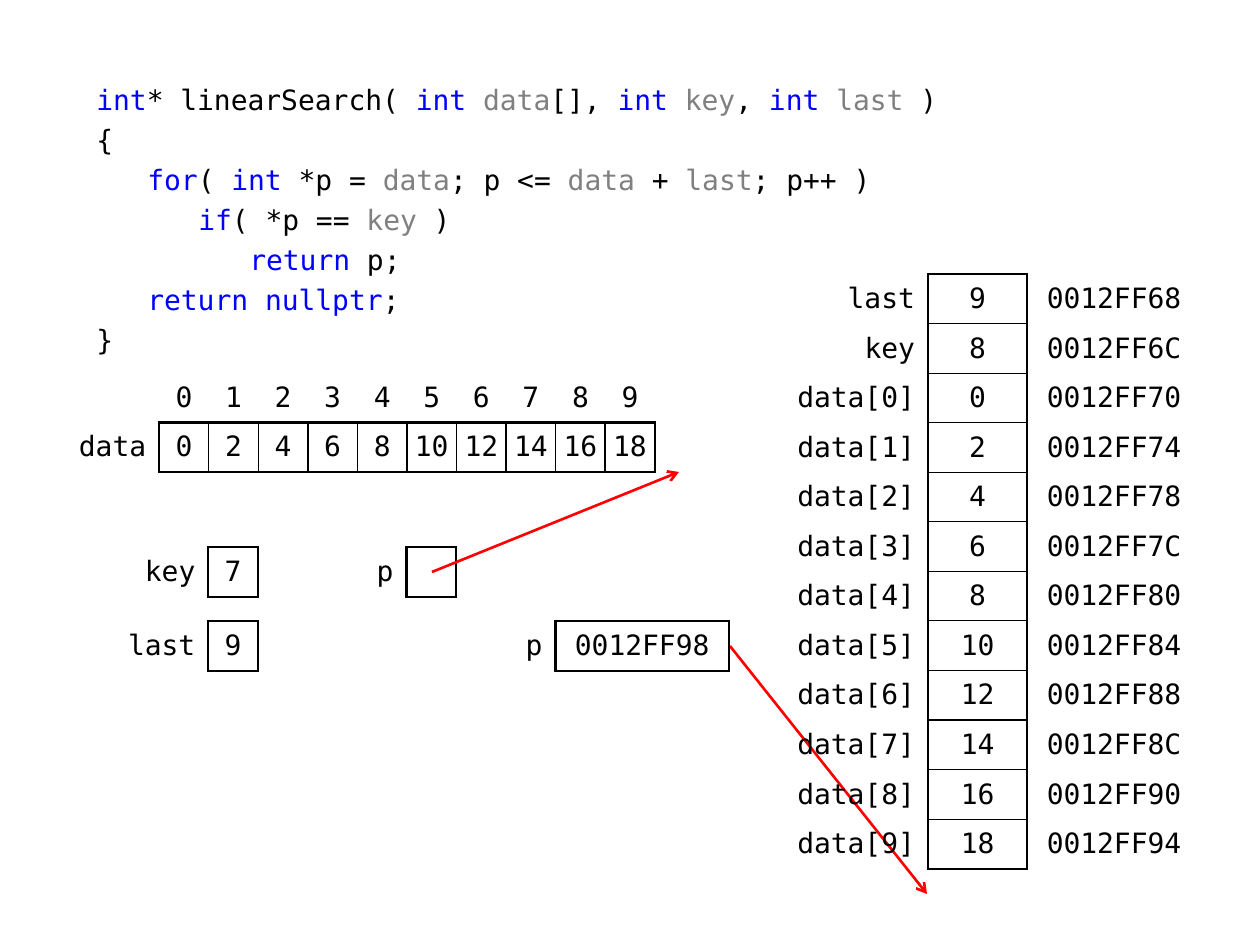
from itertools import groupby

from lxml import etree
from pptx import Presentation
from pptx.dml.color import RGBColor
from pptx.enum.shapes import MSO_CONNECTOR
from pptx.enum.text import MSO_ANCHOR, PP_ALIGN
from pptx.oxml.ns import qn
from pptx.util import Pt

PX = 914400 / 126
LEFT, CENTER, RIGHT = PP_ALIGN.LEFT, PP_ALIGN.CENTER, PP_ALIGN.RIGHT
MIDDLE = MSO_ANCHOR.MIDDLE
STRAIGHT = MSO_CONNECTOR.STRAIGHT
NO_STYLE_NO_GRID = "{2D5ABB26-0587-4C30-8999-92F81FD0307C}"

BLACK, BLUE, GRAY, RED, WHITE = "000000", "0000FF", "808080", "FF0000", "FFFFFF"
FONT = {"name": "DejaVu Sans Mono", "size": Pt(16)}
BOX_EDGES = {"L": 1.5, "R": 1.5, "T": 1.5, "B": 1.5}

KEYWORDS = ("int", "for", "if", "return", "nullptr")
PARAMETERS = ("data", "key", "last")
TOKEN_COLORS = {**dict.fromkeys(KEYWORDS, BLUE), **dict.fromkeys(PARAMETERS, GRAY)}
CODE = [  # indent level, text
    (0, "int* linearSearch( int data[], int key, int last )"),
    (0, "{"),
    (1, "for( int *p = data; p <= data + last; p++ )"),
    (2, "if( *p == key )"),
    (3, "return p;"),
    (1, "return nullptr;"),
    (0, "}"),
]
VALUES = range(0, 20, 2)
FIRST_ADDRESS = 0x0012FF68


def emu(px):
    return round(px * PX)


def rgb(color):
    return RGBColor.from_string(color)


def add_run(paragraph, text, color=BLACK):
    run = paragraph.add_run()
    run.text = text
    for name, value in FONT.items():
        setattr(run.font, name, value)
    run.font.color.rgb = rgb(color)


def add_code(slide, box):
    """Add the listing, coloured by token."""
    frame = slide.shapes.add_textbox(*map(emu, box)).text_frame
    frame.word_wrap = True
    for number, (level, line) in enumerate(CODE):
        paragraph = frame.add_paragraph() if number else frame.paragraphs[0]
        paragraph.alignment = LEFT
        paragraph.space_before = Pt(3.7)
        properties = paragraph._p.get_or_add_pPr()
        properties.set("marL", str(emu(51 * level)))
        properties.set("indent", "0")
        for _, letters in groupby(line, str.isalnum):
            token = "".join(letters)
            add_run(paragraph, token, TOKEN_COLORS.get(token, BLACK))


def add_grid(slide, box, weights, row_count):
    """Add an unstyled table whose columns share the box by weight."""
    left, top, width, height = map(emu, box)
    table = slide.shapes.add_table(
        row_count, len(weights), left, top, width, height
    ).table
    table.first_row = table.horz_banding = False
    table._tbl.tblPr.find(qn("a:tableStyleId")).text = NO_STYLE_NO_GRID
    for column, weight in zip(table.columns, weights):
        column.width = round(width * weight / sum(weights))
    for row in table.rows:
        row.height = round(height / row_count)
        for cell in row.cells:
            set_cell(cell, "")
    return table


def set_cell(cell, text, align=CENTER, edges=None, fill=None):
    """Write a cell; edges maps L, R, T and B, in that order, to points."""
    layout = {
        "vertical_anchor": MIDDLE,
        "margin_left": 0,
        "margin_right": emu(13) if align == RIGHT else 0,
        "margin_top": 0,
        "margin_bottom": 0,
    }
    for name, value in layout.items():
        setattr(cell, name, value)
    paragraph = cell.text_frame.paragraphs[0]
    paragraph.alignment = align
    paragraph.font.size = FONT["size"]
    if text:
        add_run(paragraph, text)
    properties = cell._tc.get_or_add_tcPr()
    for side, points in (edges or {}).items():
        line = etree.SubElement(properties, qn(f"a:ln{side}"), w=str(Pt(points)))
        solid = etree.SubElement(line, qn("a:solidFill"))
        etree.SubElement(solid, qn("a:srgbClr"), val=BLACK)
    if fill:
        cell.fill.solid()
        cell.fill.fore_color.rgb = rgb(fill)
    else:
        cell.fill.background()


def add_array(slide, box):
    """Add the data array with its indices above it."""
    table = add_grid(slide, box, [2] + [1] * len(VALUES), 2)
    set_cell(table.cell(1, 0), "data", RIGHT, {"R": 1.5}, WHITE)
    last = len(VALUES) - 1
    for index, value in enumerate(VALUES):
        edges = {
            "L": 1 if index else 1.5,
            "R": 1 if index < last else 1.5,
            "T": 1.5,
            "B": 1.5,
        }
        set_cell(table.cell(0, index + 1), str(index))
        set_cell(table.cell(1, index + 1), str(value), CENTER, edges, WHITE)


def add_variable(slide, box, weights, name, value):
    table = add_grid(slide, box, weights, 1)
    set_cell(table.cell(0, 0), name, RIGHT, {"R": 1.5})
    set_cell(table.cell(0, 1), value, CENTER, BOX_EDGES)


def add_memory(slide, box):
    """Add the memory layout: name, value and address, four bytes a row."""
    entries = [("last", 9), ("key", 8)]
    entries += [(f"data[{index}]", value) for index, value in enumerate(VALUES)]
    table = add_grid(slide, box, [3, 2, 3.5], len(entries))
    last = len(entries) - 1
    for row, (name, value) in enumerate(entries):
        edges = {
            "L": 1.5,
            "R": 1.5,
            "T": 0.75 if row else 1.5,
            "B": 0.75 if row < last else 1.5,
        }
        set_cell(table.cell(row, 0), name, RIGHT)
        set_cell(table.cell(row, 1), str(value), CENTER, edges)
        set_cell(table.cell(row, 2), f"{FIRST_ADDRESS + 4 * row:08X}", CENTER, {"L": 1.5})


def add_arrow(slide, start, end):
    arrow = slide.shapes.add_connector(STRAIGHT, *map(emu, start + end))
    arrow.line.color.rgb = rgb(RED)
    arrow.line.width = Pt(1.5)
    etree.SubElement(arrow.line._get_or_add_ln(), qn("a:tailEnd"), type="arrow")
    etree.SubElement(arrow._element.spPr, qn("a:effectLst"))


def main():
    presentation = Presentation()
    presentation.slide_width, presentation.slide_height = emu(1260), emu(945)
    slide = presentation.slides.add_slide(presentation.slide_layouts[6])
    add_code(slide, (84, 76, 868, 297))
    add_array(slide, (60, 373, 595, 99))
    add_variable(slide, (357, 547, 99, 50), [1, 1], "p", "")
    add_arrow(slide, (432, 572), (679, 472))
    add_variable(slide, (134, 547, 124, 50), [1.5, 1], "key", "7")
    add_arrow(slide, (730, 646), (927, 894))
    add_variable(slide, (506, 621, 223, 50), [1, 3.5], "p", "0012FF98")
    add_variable(slide, (109, 621, 149, 50), [2, 1], "last", "9")
    add_memory(slide, (779, 274, 422, 595))
    presentation.save("out.pptx")


if __name__ == "__main__":
    main()
